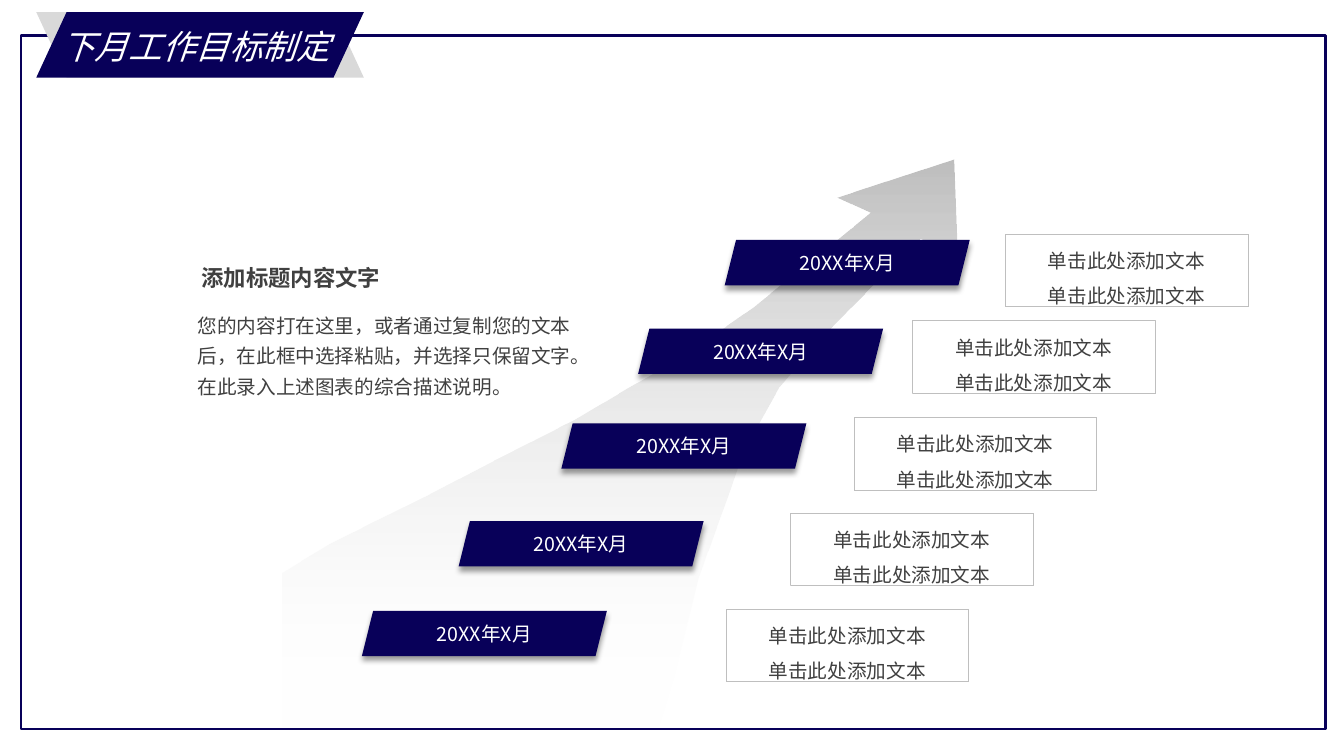
from lxml import etree
from pptx import Presentation
from pptx.dml.color import RGBColor
from pptx.enum.dml import MSO_LINE
from pptx.enum.shapes import MSO_SHAPE
from pptx.enum.text import MSO_ANCHOR, MSO_AUTO_SIZE, PP_ALIGN
from pptx.oxml.ns import qn
from pptx.util import Pt

RECTANGLE = MSO_SHAPE.RECTANGLE
PARALLELOGRAM = MSO_SHAPE.PARALLELOGRAM
DOTTED = MSO_LINE.ROUND_DOT
TOP, MIDDLE = MSO_ANCHOR.TOP, MSO_ANCHOR.MIDDLE
LEFT, CENTER = PP_ALIGN.LEFT, PP_ALIGN.CENTER
GROW = MSO_AUTO_SIZE.SHAPE_TO_FIT_TEXT

COLORS = {"navy": "080059", "fold": "D9D9D9", "silver": "BFBFBF",
          "white": "FFFFFF", "ink": "404040", "black": "000000"}
CJK_FONT = "Noto Sans CJK SC"

ARROW_OUTLINE = [
    (201.6, 409), (234.7, 388.8), (269.3, 371.5), (306.7, 352.8),
    (352.8, 329), (410.4, 299.5), (447.1, 277.9), (472.3, 263.5),
    (506.9, 241.2), (537.8, 219.6), (565.9, 196.6), (588.2, 179.3),
    (621.4, 151.9), (597.6, 141.1), (681.1, 113.8), (684, 187.9),
    (657.4, 170.6), (624.2, 203), (584.6, 243.4), (556.6, 276.5),
    (542.9, 301), (529.9, 325.4), (522, 348.5), (514.1, 370.1),
    (499, 412.6), (488.9, 452.9), (481, 484.6), (470.2, 520.6),
    (201.6, 520.6),
]
MILESTONES = [
    ((258.5, 436.3), (518.4, 434.9)),
    ((327.6, 372.2), (564.5, 366.5)),
    ((401, 302.4), (609.8, 298.1)),
    ((455.8, 234.7), (651.6, 229)),
    ((517.7, 171.4), (717.8, 167)),
]


class GoalSlide:
    """Draws the elements of the monthly goal slide in one shared style."""

    def __init__(self, slide):
        self.shapes = slide.shapes

    def color(self, name):
        return RGBColor.from_string(COLORS[name])

    def box(self, kind, bounds, fill=None, line=None, width=1, dash=None):
        shape = self.shapes.add_shape(kind, *map(Pt, bounds))
        shape.shadow.inherit = False
        if fill:
            shape.fill.solid()
            shape.fill.fore_color.rgb = self.color(fill)
        else:
            shape.fill.background()
        if line:
            shape.line.color.rgb = self.color(line)
            shape.line.width = Pt(width)
            shape.line.dash_style = dash
        else:
            shape.line.fill.background()
        return shape

    def ribbon(self, bounds, fill, flipped=False):
        ribbon = self.box(PARALLELOGRAM, bounds, fill)
        ribbon.adjustments[0] = 0.463
        if flipped:
            ribbon._element.spPr.get_or_add_xfrm().set("flipH", "1")

    def set_text(self, shape, text, size, color, font=CJK_FONT, align=LEFT,
                 anchor=TOP, inset=(5, 2.2), spacing=None, bold=None,
                 italic=None, wrap=True, autosize=None):
        frame = shape.text_frame
        frame.text = text
        frame.word_wrap = wrap
        frame.vertical_anchor = anchor
        frame.margin_left = frame.margin_right = Pt(inset[0])
        frame.margin_top = frame.margin_bottom = Pt(inset[1])
        if autosize:
            frame.auto_size = autosize
        for paragraph in frame.paragraphs:
            paragraph.alignment = align
            paragraph.line_spacing = spacing
            for run in paragraph.runs:
                run.font.name = font
                run.font.size = Pt(size)
                run.font.bold = bold
                run.font.italic = italic
                run.font.color.rgb = self.color(color)
                properties = run._r.get_or_add_rPr()
                etree.SubElement(properties, qn("a:ea"), typeface=CJK_FONT)

    def label(self, bounds, text, size, color, **style):
        label = self.shapes.add_textbox(*map(Pt, bounds))
        self.set_text(label, text, size, color, **style)

    def arrow(self, outline):
        points = [(Pt(x), Pt(y)) for x, y in outline]
        builder = self.shapes.build_freeform(*points[0])
        builder.add_line_segments(points[1:], close=True)
        arrow = builder.convert_to_shape()
        arrow.shadow.inherit = False
        arrow.line.fill.background()
        arrow.fill.gradient()
        arrow.fill.gradient_angle = 270
        start, end = arrow.fill.gradient_stops
        start.position, end.position = 0, 1
        start.color.rgb = self.color("silver")
        end.color.rgb = self.color("white")
        faded = arrow._element.spPr.findall(".//" + qn("a:srgbClr"))[-1]
        etree.SubElement(faded, qn("a:alpha"), val="0")

    def month(self, position, text):
        bar = self.box(PARALLELOGRAM, (*position, 175, 32.4), "navy")
        effects = bar._element.spPr.find(qn("a:effectLst"))
        shadow = etree.SubElement(
            effects, qn("a:outerShdw"), blurRad=str(int(Pt(4))),
            dist=str(int(Pt(3))), dir="5400000", algn="t", rotWithShape="0")
        tint = etree.SubElement(shadow, qn("a:srgbClr"), val=COLORS["black"])
        etree.SubElement(tint, qn("a:alpha"), val="40000")
        self.set_text(bar, text, 14, "white", align=CENTER, anchor=MIDDLE)

    def note(self, position, text):
        note = self.box(RECTANGLE, (*position, 173.5, 51.8), line="silver",
                        width=0.25, dash=DOTTED)
        self.set_text(note, text, 14, "ink", align=CENTER, spacing=1.5,
                      autosize=GROW)


def main():
    deck = Presentation()
    deck.slide_width, deck.slide_height = Pt(960), Pt(540)
    page = GoalSlide(deck.slides.add_slide(deck.slide_layouts[6]))

    page.box(RECTANGLE, (15.1, 25.2, 931.7, 495.4), line="navy", width=1.75)
    ribbon_bounds = (25.9, 8.6, 234, 46.8)
    page.ribbon(ribbon_bounds, "fold", flipped=True)
    page.ribbon(ribbon_bounds, "navy")
    page.label((36.7, 15.1, 208.1, 36), "下月工作目标制定", 24, "white",
               font="Arial", inset=(7.2, 3.6), italic=True, wrap=False,
               autosize=GROW)

    page.arrow(ARROW_OUTLINE)
    for bar_position, note_position in MILESTONES:
        page.month(bar_position, "20XX年X月")
        page.note(note_position, "单击此处添加文本\n单击此处添加文本")

    page.label((136.1, 216, 280.1, 99.4),
               "您的内容打在这里，或者通过复制您的文本后，在此框中选择粘贴，"
               "并选择只保留文字。在此录入上述图表的综合描述说明。",
               14, "ink", inset=(5, 2.9), spacing=1.3)
    page.label((139, 174.2, 238.3, 48.2), "添加标题内容文字", 16, "ink",
               anchor=MIDDLE, inset=(5, 2.9), bold=True)
    deck.save("out.pptx")


if __name__ == "__main__":
    main()
